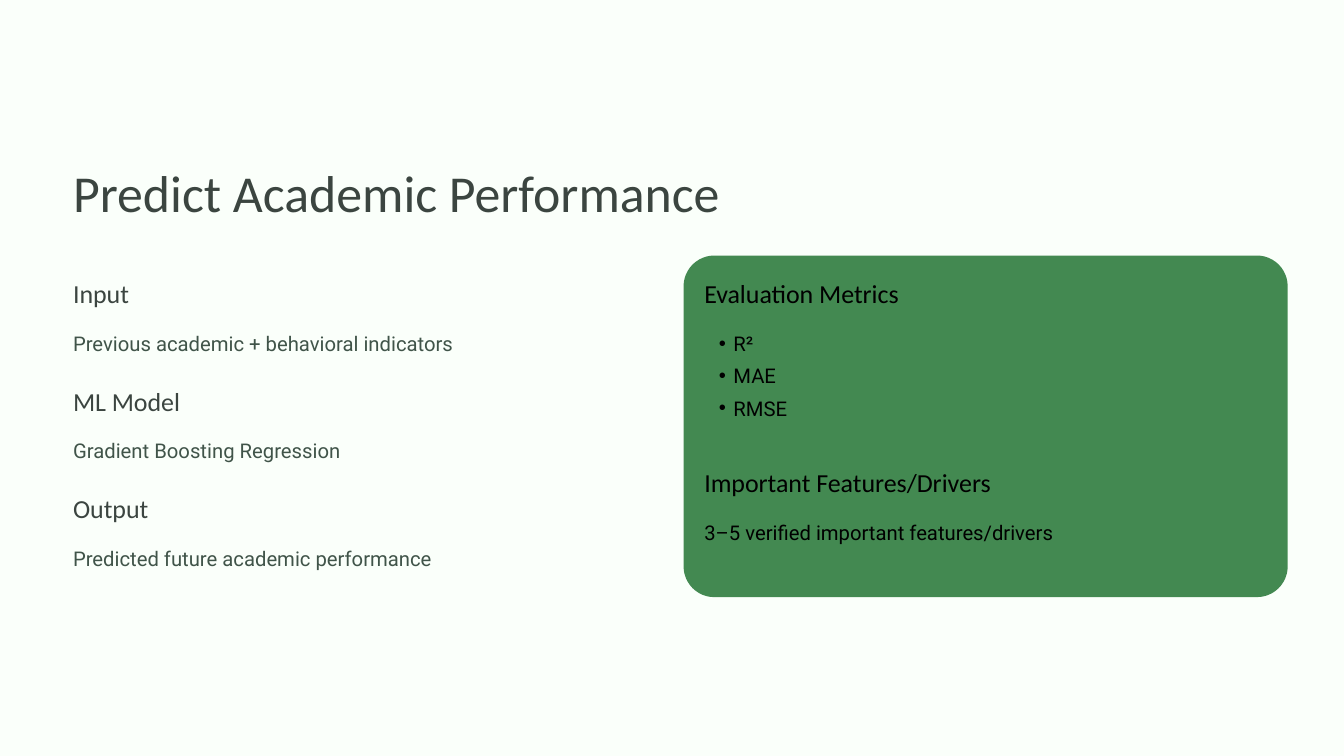
from lxml import etree
from pptx import Presentation
from pptx.dml.color import RGBColor
from pptx.enum.shapes import MSO_SHAPE
from pptx.enum.text import MSO_ANCHOR, MSO_AUTO_SIZE, PP_ALIGN
from pptx.oxml.ns import qn
from pptx.util import Pt

RECTANGLE = MSO_SHAPE.RECTANGLE
ROUNDED = MSO_SHAPE.ROUNDED_RECTANGLE
TOP = MSO_ANCHOR.TOP
GROW = MSO_AUTO_SIZE.SHAPE_TO_FIT_TEXT
LEFT = PP_ALIGN.LEFT

TITLE = "Predict Academic Performance"
STEPS = [
    ("Input", ["Previous academic + behavioral indicators"]),
    ("ML Model", ["Gradient Boosting Regression"]),
    ("Output", ["Predicted future academic performance"]),
]
RESULTS = [
    ("Evaluation Metrics", ["R²", "MAE", "RMSE"]),
    ("Important Features/Drivers", ["3–5 verified important features/drivers"]),
]

PAGE_WIDTH, PAGE_HEIGHT = 1440, 810
BACKGROUND, CARD_FILL = "FAFFFA", "438951"
DARK, MUTED, BLACK = "3B4540", "405449", "000000"
TITLE_FORMAT = {"name": "Calibri", "size": Pt(55.5)}
HEADING_FORMAT = {"name": "Calibri", "size": Pt(27.75)}
BODY_FORMAT = {"name": "Roboto", "size": Pt(21.75)}
TITLE_LINE, HEADING_LINE, BODY_LINE = 69.3, 34.6, 34.7

MARGIN, CARD_TEXT_LEFT = 78.3, 754.6
COLUMN_TOP = 296
HEADING_TO_BODY = 50
BODY_PADDING = 8.6
LIST_PADDING = 18
GROUP_GAP = 22
BULLET_MARGIN, BULLET_HANG = 31.2, 15.6


def colour(value):
    return RGBColor.from_string(value)


def place(shape, left, top, width, height):
    shape.left, shape.top = Pt(left), Pt(top)
    shape.width, shape.height = Pt(width), Pt(height)


def add_panel(page, kind, left, top, width, height, fill):
    panel = page.shapes.add_shape(kind, Pt(left), Pt(top), Pt(width), Pt(height))
    panel.shadow.inherit = False
    panel.fill.solid()
    panel.fill.fore_color.rgb = colour(fill)
    panel.line.fill.background()
    return panel


def add_bullet(para):
    properties = para._p.get_or_add_pPr()
    properties.set("marL", str(Pt(BULLET_MARGIN)))
    properties.set("indent", str(-Pt(BULLET_HANG)))
    etree.SubElement(properties, qn("a:buFont"), typeface="Arial")
    etree.SubElement(properties, qn("a:buChar"), char="•")


def write(box, lines, text_format, text_colour, line_height):
    frame = box.text_frame
    frame_format = {
        "word_wrap": True, "auto_size": GROW, "vertical_anchor": TOP,
        "margin_left": 0, "margin_right": 0, "margin_top": 0, "margin_bottom": 0,
    }
    for name, value in frame_format.items():
        setattr(frame, name, value)
    for index, line in enumerate(lines):
        para = frame.add_paragraph() if index else frame.paragraphs[0]
        if len(lines) > 1:
            add_bullet(para)
        para.alignment = LEFT
        para.line_spacing = Pt(line_height)
        span = para.add_run()
        span.text = line
        for name, value in text_format.items():
            setattr(span.font, name, value)
        span.font.color.rgb = colour(text_colour)


def add_text(page, left, top, width, height, *content):
    box = page.shapes.add_textbox(Pt(left), Pt(top), Pt(width), Pt(height))
    write(box, *content)


def add_column(page, groups, left, width, body_width, heading_colour, body_colour):
    top = COLUMN_TOP
    for heading, lines in groups:
        add_text(page, left, top, width, HEADING_LINE,
                 [heading], HEADING_FORMAT, heading_colour, HEADING_LINE)
        body_top = top + HEADING_TO_BODY
        body_height = len(lines) * BODY_LINE + BODY_PADDING
        if len(lines) > 1:
            body_height += LIST_PADDING
        add_text(page, left, body_top, body_width, body_height,
                 lines, BODY_FORMAT, body_colour, BODY_LINE)
        top = body_top + body_height + GROUP_GAP


def main():
    deck = Presentation()
    deck.slide_width, deck.slide_height = Pt(PAGE_WIDTH), Pt(PAGE_HEIGHT)
    page = deck.slides.add_slide(deck.slide_layouts[5])

    backdrop = add_panel(page, RECTANGLE, 0, 0, PAGE_WIDTH, PAGE_HEIGHT, BACKGROUND)
    title = page.shapes.title
    title._element.addprevious(backdrop._element)
    place(title, MARGIN, 169.2, 1284.5, 71.3)
    write(title, [TITLE], TITLE_FORMAT, DARK, TITLE_LINE)

    add_column(page, STEPS, MARGIN, 615, 687, DARK, MUTED)

    card = add_panel(page, ROUNDED, 732.4, 273.8, 647.3, 366, CARD_FILL)
    card.adjustments[0] = 0.09
    add_column(page, RESULTS, CARD_TEXT_LEFT, 602.6, 674.6, BLACK, BLACK)
    deck.save("out.pptx")


if __name__ == "__main__":
    main()
